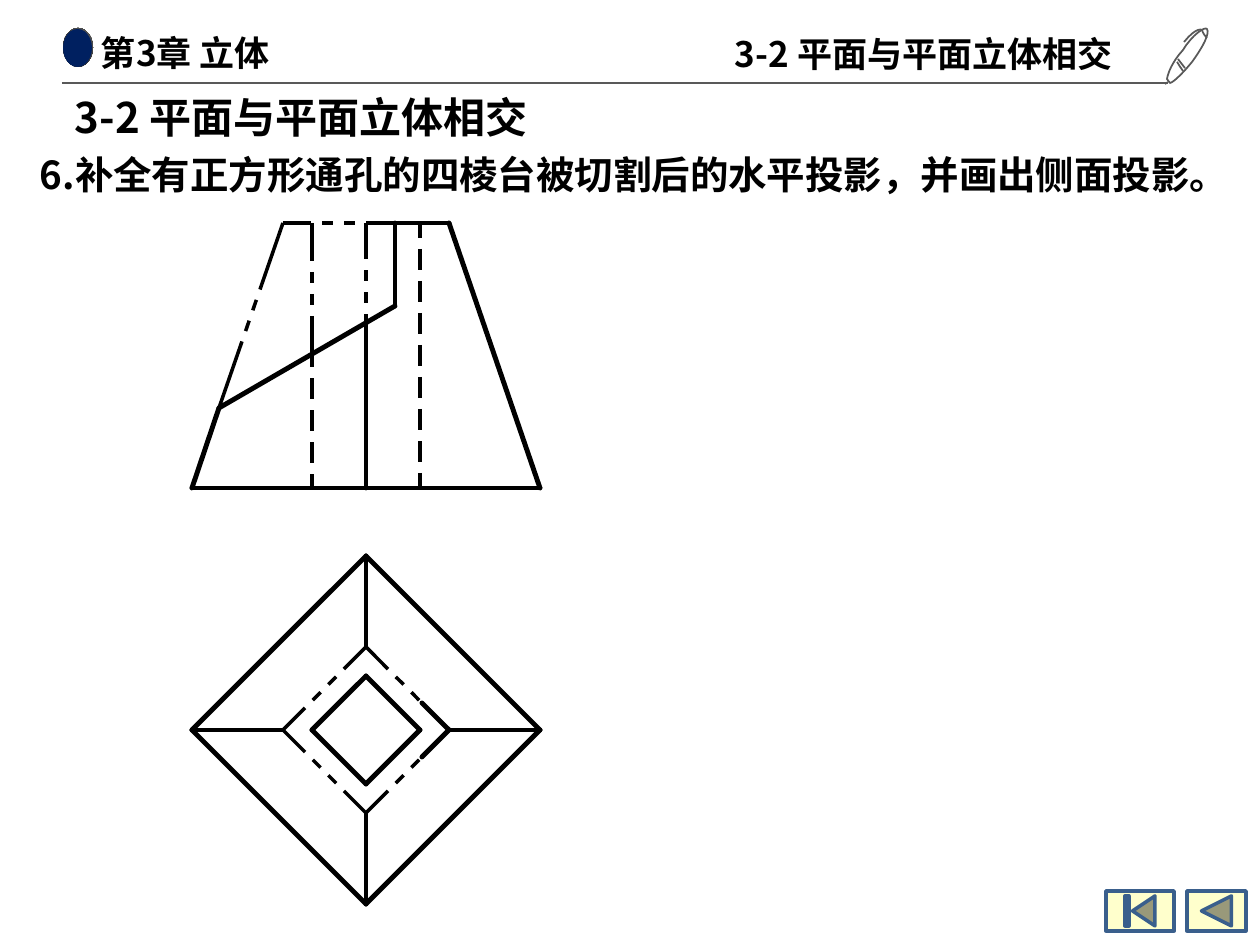
from math import hypot

from lxml.etree import SubElement
from pptx import Presentation
from pptx.dml.color import RGBColor
from pptx.enum.shapes import MSO_CONNECTOR, MSO_SHAPE
from pptx.enum.text import MSO_AUTO_SIZE, PP_ALIGN
from pptx.oxml.ns import qn
from pptx.util import Pt

PX = 914400 / 126
FONT = "Noto Sans CJK SC"
THICK, THIN = 2.8, 0
GAP = 11


def color(hex_code):
    return RGBColor.from_string(hex_code)


def draw_line(start, end, width, hex_code="000000"):
    ends = [round(v * PX) for v in (*start, *end)]
    edge = slide.shapes.add_connector(MSO_CONNECTOR.STRAIGHT, *ends)
    edge.line.color.rgb = color(hex_code)
    edge.line.width = Pt(width)
    properties = edge.element.spPr
    properties.find(qn("a:ln")).set("cap", "rnd" if width > 1 else "flat")
    SubElement(properties, qn("a:effectLst"))


prs = Presentation()
prs.slide_width = round(1260 * PX)
prs.slide_height = round(945 * PX)
slide = prs.slides.add_slide(prs.slide_layouts[6])

buttons = [
    (MSO_SHAPE.ACTION_BUTTON_BACK_OR_PREVIOUS, 1187, 59),
    (MSO_SHAPE.ACTION_BUTTON_BEGINNING, 1106, 68),
]
for preset, left, width in buttons:
    button = slide.shapes.add_shape(
        preset, *[round(v * PX) for v in (left, 891, width, 40)])
    button.shadow.inherit = False
    button.fill.solid()
    button.fill.fore_color.rgb = color("FFFFCC")
    button.line.color.rgb = color("3A5F8C")
    button.line.width = Pt(2)

ovals = []
for box in [(63, 28, 30, 39), (63, 29, 29, 38)]:
    oval = slide.shapes.add_shape(MSO_SHAPE.OVAL, *[round(v * PX) for v in box])
    oval.shadow.inherit = False
    oval.line.fill.background()
    ovals.append(oval)
rim, bullet = ovals
bullet.fill.solid()
bullet.fill.fore_color.rgb = color("002060")
rim.fill.gradient()
for stop, shade in zip(rim.fill.gradient_stops, ("595959", "262626")):
    stop.color.rgb = color(shade)
gradient = rim.element.spPr.find(qn("a:gradFill"))
gradient.remove(gradient.find(qn("a:lin")))
radial = SubElement(gradient, qn("a:path"), {"path": "circle"})
SubElement(radial, qn("a:fillToRect"), {"l": "100000", "b": "100000"})

section = "3-2 平面与平面立体相交"
task = "6.补全有正方形通孔的四棱台被切割后的水平投影，并画出侧面投影。"
labels = [
    ((92, 26, 469, 52), "第3章 立体", 20, 9, 5, PP_ALIGN.LEFT),
    ((722, 26, 417, 55), section, 20, 13, 6, PP_ALIGN.LEFT),
    ((62, 86, 1045, 63), section, 24, 13, 6, PP_ALIGN.LEFT),
    ((-4, 145, 1266, 63), task, 22, 44, 6, PP_ALIGN.JUSTIFY),
]
for box, wording, size, inset_left, inset_top, alignment in labels:
    label = slide.shapes.add_textbox(*[round(v * PX) for v in box])
    frame = label.text_frame
    frame.word_wrap = True
    frame.auto_size = MSO_AUTO_SIZE.SHAPE_TO_FIT_TEXT
    frame.margin_left = round(inset_left * PX)
    frame.margin_top = frame.margin_bottom = round(inset_top * PX)
    paragraph = frame.paragraphs[0]
    paragraph.alignment = alignment
    run = paragraph.add_run()
    run.text = wording
    run.font.size = Pt(size)
    run.font.bold = True
    run.font.name = FONT
    run.font.color.rgb = color("000000")
    SubElement(run.font._element, qn("a:ea"), {"typeface": FONT})

draw_line((62, 83), (1168, 83), 0.75, "595959")

pen_strokes = [
    ([(1183, 71), (1177, 62), (1177, 62), (1177, 62)], False),
    ([(1178, 59), (1185, 68), (1185, 68), (1185, 68)], False),
    ([(1207, 29), (1205, 26), (1192, 35), (1183, 50), (1172, 62), (1168, 73),
      (1167, 79), (1170, 83), (1170, 83), (1170, 83), (1174, 82), (1183, 73),
      (1192, 62), (1203, 47), (1210, 33), (1207, 29)], True),
    ([(1168, 82), (1165, 84), (1165, 84), (1165, 84)], False),
    ([(1207, 38), (1207, 38), (1203, 34), (1202, 30), (1202, 30), (1197, 26),
      (1184, 42)], False),
]
outline = None
for controls, closed in pen_strokes:
    start_x, start_y = [v * 10 for v in controls[0]]
    if outline is None:
        outline = slide.shapes.build_freeform(start_x, start_y, scale=PX / 10)
    else:
        outline.move_to(start_x, start_y)
    curve = []
    for i in range(0, len(controls) - 1, 3):
        for t in [step / 8 for step in range(1, 9)]:
            weights = ((1 - t) ** 3, 3 * t * (1 - t) ** 2, 3 * t * t * (1 - t), t ** 3)
            curve.append([
                round(10 * sum(w * p[axis] for w, p in zip(weights, controls[i:i + 4])))
                for axis in (0, 1)])
    outline.add_line_segments(curve, close=closed)
pen = outline.convert_to_shape()
pen.shadow.inherit = False
pen.fill.background()
pen.line.color.rgb = color("595959")
pen.line.width = Pt(1)

cx, cy = 366, 730
base, top, cut_left = 488, 223, (219, 408)
outer, inner, hole = [
    [(cx, cy - r), (cx + r, cy), (cx, cy + r), (cx - r, cy)]
    for r in (174, 83, 54)]

front_view = [(192, base), (540, base), (449, top), (395, top), (395, 306),
              cut_left, (192, base)]
thick_edges = list(zip(front_view, front_view[1:]))
thick_edges.append(((cx, base), (cx, 323)))
for square in (outer, hole):
    thick_edges += zip(square, square[1:] + square[:1])
thick_edges += [
    ((cx, 556), (cx, 581)),
    ((192, cy), (217, cy)),
    ((cx, 904), (cx, 877)),
    ((540, cy), (449, cy)),
    ((422, 703), (449, cy)),
    ((449, cy), (422, 757)),
]
for start, end in thick_edges:
    draw_line(start, end, THICK)
for start, end in zip(outer, inner):
    draw_line(start, end, THIN)

dashed_edges = [
    ((cx, 350), (cx, top), 2, 11),
    ((283, top), (395, top), 2, 11),
    ((283, top), cut_left, 2, 11),
    ((312, top), (312, 354), 2, 11),
    ((312, 354), (312, base), 3, 21),
    ((420, top), (420, base), 7, 21),
]
dashed_edges += [(a, b, 2, 11) for a, b in zip(inner, inner[1:] + inner[:1])]
for (x1, y1), (x2, y2), middle_count, middle_dash in dashed_edges:
    length = hypot(x2 - x1, y2 - y1)
    end_dash = (length - middle_count * middle_dash - (middle_count + 1) * GAP) / 2
    offset = 0
    for dash in [end_dash, *[middle_dash] * middle_count, end_dash]:
        tips = [(x1 + (x2 - x1) * d / length, y1 + (y2 - y1) * d / length)
                for d in (offset, offset + dash)]
        draw_line(*tips, THIN)
        offset += dash + GAP

prs.save("out.pptx")
